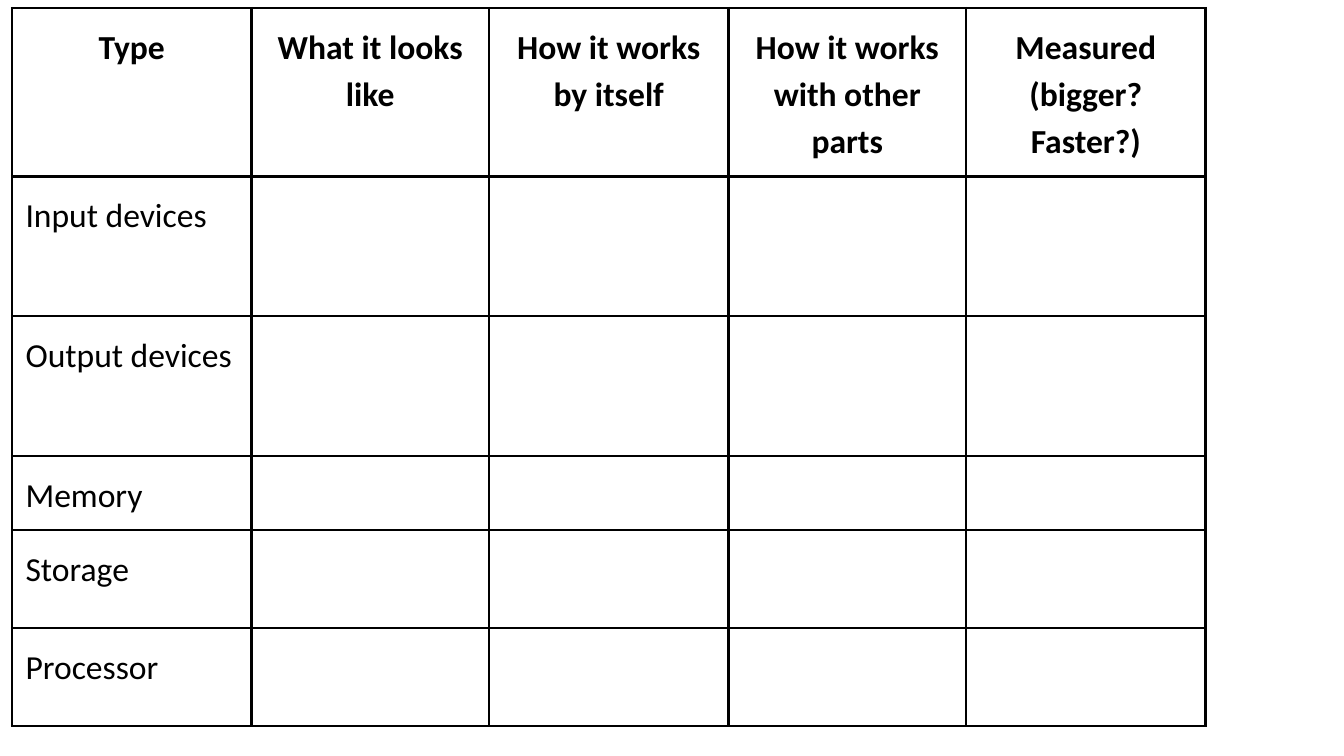
import pptx
import pptx.dml.color
import pptx.enum.text
import pptx.oxml
import pptx.oxml.ns
import pptx.util

SLIDE_WIDTH = 10
SLIDE_HEIGHT = SLIDE_WIDTH * 9 / 16
ORIGIN = (0.09, 0.06)
COLUMN_WIDTHS = [1.78, 1.77, 1.78, 1.77, 1.78]
HEADINGS = [
    ["Type"],
    ["What it looks like"],
    ["How it works by itself"],
    ["How it works with other parts"],
    ["Measured", "(bigger? Faster?)"],
]
HEADING_HEIGHT = 1.01
PARTS = [
    ("Input devices", 1.04),
    ("Output devices", 1.04),
    ("Memory", 0.42),
    ("Storage", 0.73),
    ("Processor", 0.73),
]
INK = "000000"
BORDER = 1.5
INSET = 0.1


def rgb(value):
    """Return the colour for a hex string."""
    return pptx.dml.color.RGBColor.from_string(value)


def outline(cell):
    """Give a cell four solid borders and no fill."""
    properties = cell._tc.get_or_add_tcPr()
    for side in ("lnL", "lnR", "lnT", "lnB"):
        properties.append(pptx.oxml.parse_xml(
            f'<a:{side} {pptx.oxml.ns.nsdecls("a")} w="{pptx.util.Pt(BORDER)}">'
            f'<a:solidFill><a:srgbClr val="{INK}"/></a:solidFill>'
            f'<a:prstDash val="solid"/></a:{side}>'))
    cell.fill.background()


def write(cell, lines, heading):
    """Write each line as a paragraph of a cell."""
    cell.margin_left = cell.margin_right = pptx.util.Inches(INSET)
    cell.margin_top = cell.margin_bottom = pptx.util.Inches(INSET)
    align = pptx.enum.text.PP_ALIGN
    for index, line in enumerate(lines):
        frame = cell.text_frame
        paragraph = frame.add_paragraph() if index else frame.paragraphs[0]
        paragraph.alignment = align.CENTER if heading else align.LEFT
        paragraph.line_spacing = 1.15
        run = paragraph.add_run()
        run.text = line
        run.font.name = "Calibri"
        run.font.size = pptx.util.Pt(18)
        run.font.bold = heading
        run.font.color.rgb = rgb(INK)


def main():
    """Build the computer parts worksheet."""
    deck = pptx.Presentation()
    deck.slide_width = pptx.util.Inches(SLIDE_WIDTH)
    deck.slide_height = pptx.util.Inches(SLIDE_HEIGHT)
    slide = deck.slides.add_slide(deck.slide_layouts[6])

    row_heights = [HEADING_HEIGHT] + [height for _, height in PARTS]
    extent = (*ORIGIN, sum(COLUMN_WIDTHS), sum(row_heights))
    worksheet = slide.shapes.add_table(
        len(row_heights), len(COLUMN_WIDTHS), *map(pptx.util.Inches, extent)).table
    worksheet.first_row = worksheet.horz_banding = False
    for column, width in zip(worksheet.columns, COLUMN_WIDTHS):
        column.width = pptx.util.Inches(width)
    for row, height in zip(worksheet.rows, row_heights):
        row.height = pptx.util.Inches(height)

    for cell in worksheet.iter_cells():
        outline(cell)
    for column, lines in enumerate(HEADINGS):
        write(worksheet.cell(0, column), lines, True)
    for row, (part, _) in enumerate(PARTS, start=1):
        write(worksheet.cell(row, 0), [part], False)

    deck.save("out.pptx")


if __name__ == "__main__":
    main()
